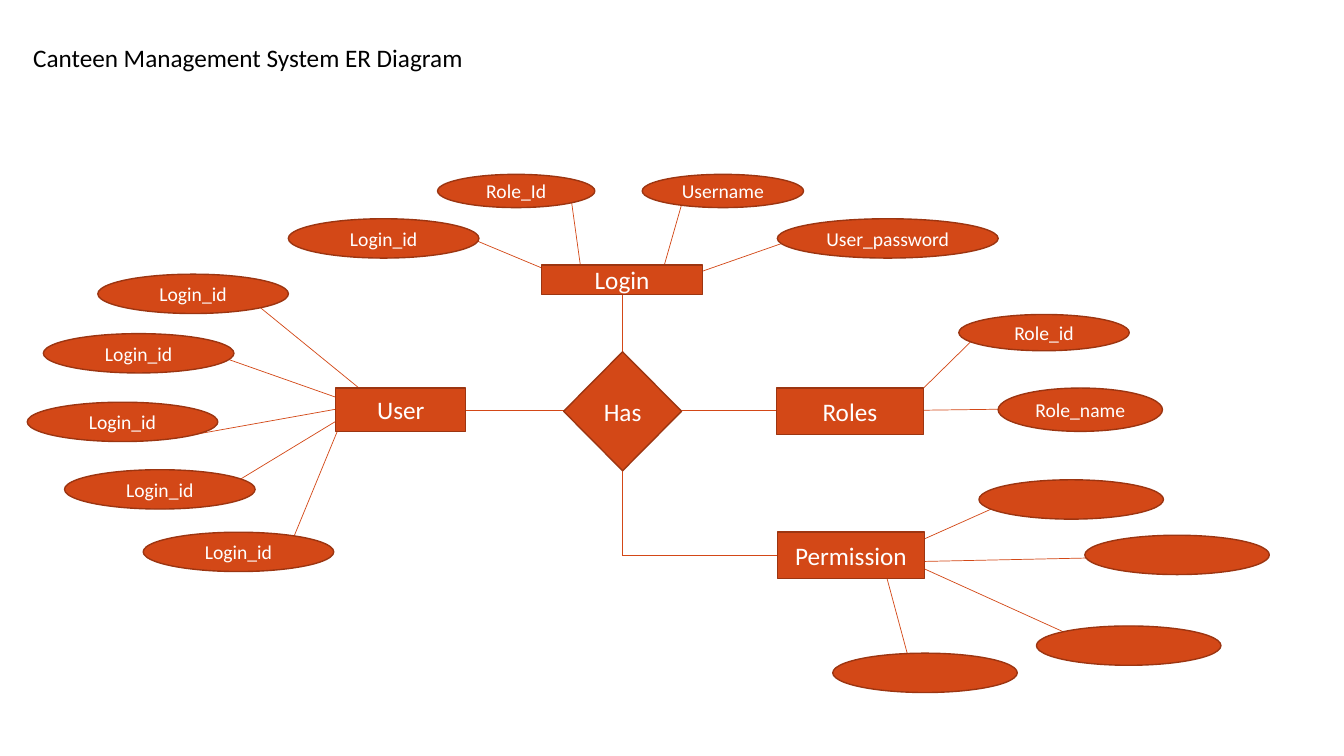
from lxml import etree
from pptx import Presentation
from pptx.dml.color import RGBColor
from pptx.enum import shapes, text
from pptx.oxml import ns
from pptx.util import Inches, Pt

FILL, OUTLINE, WHITE, BLACK = "D34817", "9C3511", "FFFFFF", "000000"


def color(value):
    return RGBColor.from_string(value)


def write(shape, words, size, font_color):
    para = shape.text_frame.paragraphs[0]
    para.text = words
    font = para.runs[0].font
    font.name, font.size = "Calibri", Pt(size)
    font.color.rgb = color(font_color)
    return para


deck = Presentation()
deck.slide_width, deck.slide_height = Inches(13.33), Inches(7.5)
page = deck.slides.add_slide(deck.slide_layouts[6])

# Title
title = page.shapes.add_textbox(Inches(0.23), Inches(0.37), Inches(10.79), Inches(0.4))
title.text_frame.word_wrap = True
title.text_frame.vertical_anchor = text.MSO_ANCHOR.BOTTOM
write(title, "Canteen Management System ER Diagram", 18, BLACK).line_spacing = 0.9

# Links, drawn first so that the nodes cover their ends: x1, y1, x2, y2
relationship_links = [
    (6.17, 2.91, 6.17, 3.49),
    (6.76, 4.07, 7.71, 4.07),
    (5.59, 4.07, 4.61, 4.07),
    (6.17, 4.66, 6.17, 5.51),
    (6.17, 5.51, 7.97, 5.51),
]
login_links = [
    (6.74, 2.77, 7.97, 2.34),
    (6.8, 1.89, 6.56, 2.73),
    (5.67, 2.01, 5.77, 2.73),
    (4.61, 2.34, 5.64, 2.77),
]
user_links = [
    (2.58, 3.05, 3.61, 3.89),
    (2.08, 3.5, 3.47, 3.99),
    (1.88, 4.32, 3.33, 4.06),
    (2.21, 4.86, 3.33, 4.18),
    (2.9, 5.36, 3.37, 4.22),
]
roles_links = [(9.71, 3.31, 9.16, 3.85), (9.9, 4.06, 9.16, 4.07)]
permission_links = [
    (9.16, 5.35, 9.9, 5.02),
    (9.17, 5.57, 11.07, 5.53),
    (9.16, 5.64, 10.55, 6.27),
    (9.03, 6.6, 8.79, 5.71),
]
for ends in relationship_links + login_links + user_links + roles_links + permission_links:
    link = page.shapes.add_connector(
        shapes.MSO_CONNECTOR.STRAIGHT, *[Inches(value) for value in ends])
    link.line.color.rgb = color(FILL)
    link.line.width = Pt(0.5)
    etree.SubElement(link._element.spPr, ns.qn("a:effectLst"))

# Nodes: label, left, top, width, height
entities = [
    ("Login", 5.37, 2.63, 1.6, 0.29),
    ("User", 3.33, 3.85, 1.29, 0.43),
    ("Roles", 7.7, 3.85, 1.46, 0.46),
    ("Permission", 7.71, 5.28, 1.46, 0.46),
]
relationships = [("Has", 5.59, 3.49, 1.17, 1.18)]
attributes = [
    ("Role_Id", 4.34, 1.73, 1.56, 0.33),
    ("Username", 6.37, 1.73, 1.6, 0.33),
    ("User_password", 7.71, 2.17, 2.19, 0.39),
    ("Role_id", 9.51, 3.12, 1.69, 0.36),
    ("Role_name", 9.9, 3.85, 1.63, 0.43),
]
login_id_spots = [(2.86, 2.17), (0.97, 2.72), (0.43, 3.31),
                  (0.27, 3.99), (0.64, 4.66), (1.42, 5.28)]
attributes += [("Login_id", left, top, 1.89, 0.39) for left, top in login_id_spots]
permission_spots = [(9.71, 4.76), (10.76, 5.31), (10.28, 6.21), (8.26, 6.48)]
attributes += [("", left, top, 1.83, 0.39) for left, top in permission_spots]

node_kinds = [
    (shapes.MSO_SHAPE.RECTANGLE, 18, entities),
    (shapes.MSO_SHAPE.DIAMOND, 18, relationships),
    (shapes.MSO_SHAPE.OVAL, 14, attributes),
]
for outline, size, nodes in node_kinds:
    for label, *frame in nodes:
        node = page.shapes.add_shape(outline, *[Inches(value) for value in frame])
        node.shadow.inherit = False
        node.fill.solid()
        node.fill.fore_color.rgb = color(FILL)
        node.line.color.rgb = color(OUTLINE)
        node.line.width = Pt(1)
        if label:
            node.text_frame.vertical_anchor = text.MSO_ANCHOR.MIDDLE
            write(node, label, size, WHITE).alignment = text.PP_ALIGN.CENTER

deck.save("out.pptx")
